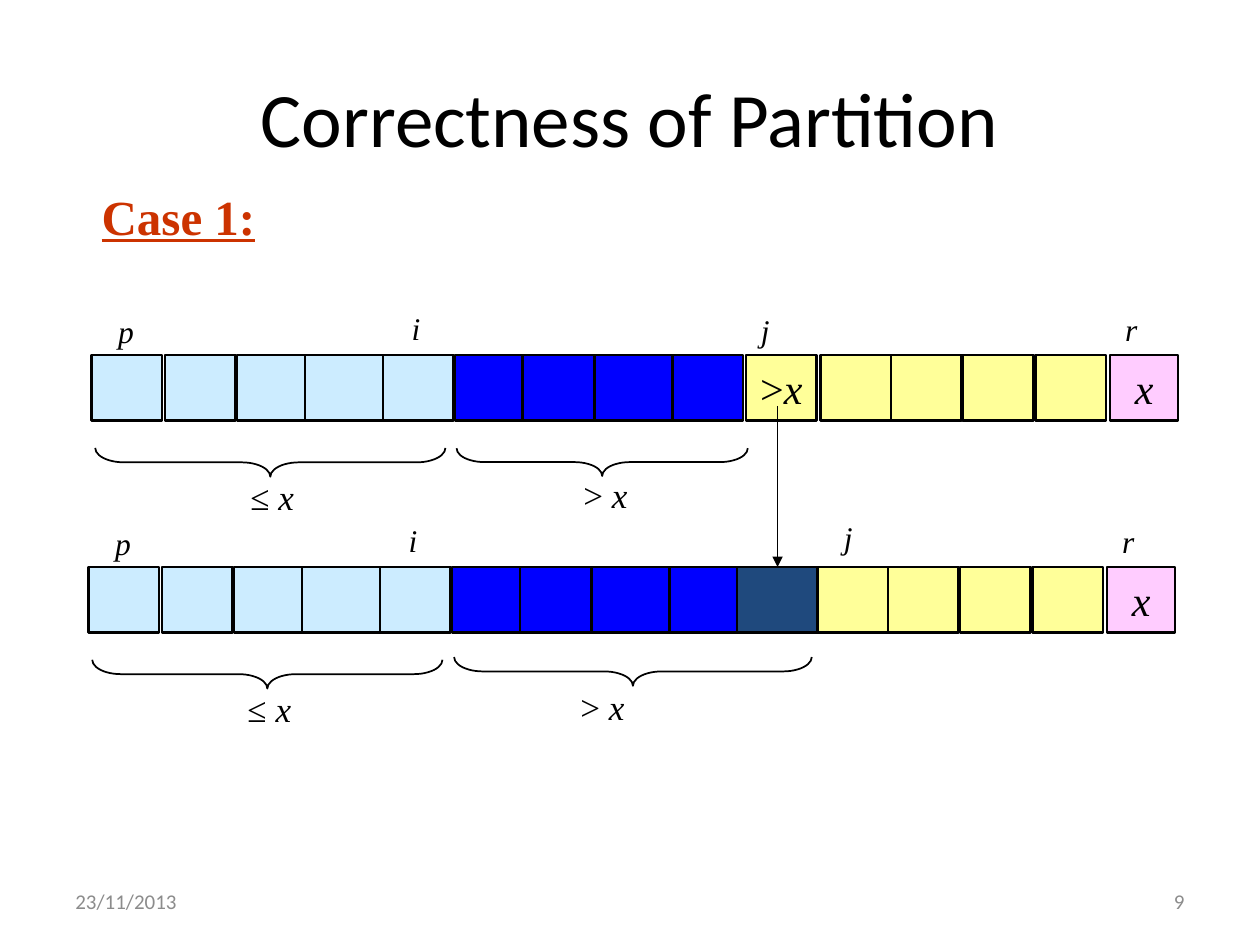
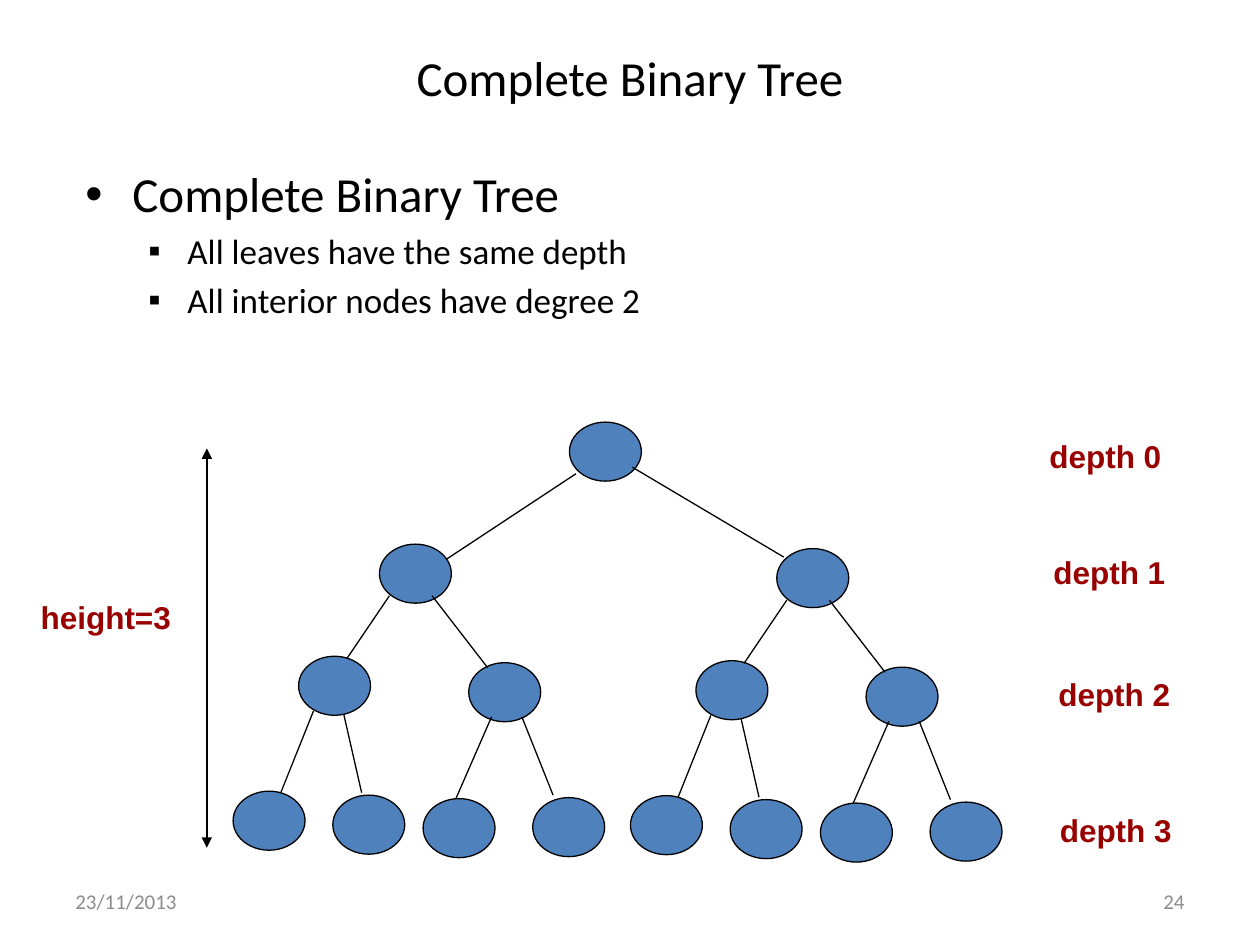
from lxml.etree import SubElement
from pptx import Presentation
from pptx.dml.color import RGBColor
from pptx.enum.shapes import MSO_CONNECTOR, MSO_SHAPE
from pptx.enum.text import MSO_ANCHOR, PP_ALIGN
from pptx.oxml.ns import qn
from pptx.util import Cm, Pt

COLORS = {
    "black": "000000",
    "footer": "8C8C8C",
    "case": "CC3300",
    "depth": "990000",
    "small": "CCECFF",
    "large": "0000FF",
    "moved": "1F497D",
    "open": "FFFF99",
    "pivot": "FFCCFF",
    "node": "4F81BD",
}
SERIF = "Times New Roman"


def write(holder, text, variable="", size=18, font="Calibri", color="black",
          bold=False, underline=False, align=PP_ALIGN.LEFT,
          anchor=MSO_ANCHOR.TOP, wrap=False, bullet=None, indent=0, hang=0,
          before=0):
    frame = holder.text_frame
    frame.word_wrap = wrap
    frame.vertical_anchor = anchor
    paragraph = frame.add_paragraph() if frame.text else frame.paragraphs[0]
    paragraph.alignment = align
    if before:
        paragraph.space_before = Pt(before)
    if bullet:
        properties = paragraph._p.get_or_add_pPr()
        properties.set("marL", str(Cm(indent)))
        properties.set("indent", str(-Cm(hang)))
        SubElement(properties, qn("a:buFont")).set("typeface", "Arial")
        SubElement(properties, qn("a:buChar")).set("char", bullet)
    for part, italic in ((text, False), (variable, True)):
        if part:
            run = paragraph.add_run()
            run.text = part
            run.font.name = font
            run.font.size = Pt(size)
            run.font.bold = bold
            run.font.italic = italic
            run.font.underline = underline
            run.font.color.rgb = RGBColor.from_string(COLORS[color])


def outline(shape, weight, fill=None, arrows=()):
    if fill:
        shape.fill.solid()
        shape.fill.fore_color.rgb = RGBColor.from_string(COLORS[fill])
    shape.line.color.rgb = RGBColor.from_string(COLORS["black"])
    shape.line.width = Pt(weight)
    properties = shape._element.spPr
    for arrow in arrows:
        SubElement(properties.find(qn("a:ln")), qn(f"a:{arrow}")).set("type", "triangle")
    SubElement(properties, qn("a:effectLst"))


deck = Presentation()
deck.slide_width = Cm(25.4)
deck.slide_height = Cm(19.05)
partition = deck.slides.add_slide(deck.slide_layouts[6])
tree = deck.slides.add_slide(deck.slide_layouts[6])

for slide, title, title_height, title_size, number in (
    (partition, "Correctness of Partition", 3.18, 44, "9"),
    (tree, "Complete Binary Tree", 1.57, 28, "24"),
):
    heading = slide.shapes.add_textbox(Cm(1.27), Cm(0.76), Cm(22.86), Cm(title_height))
    write(heading, title, size=title_size, align=PP_ALIGN.CENTER,
          anchor=MSO_ANCHOR.MIDDLE, wrap=True)
    for left, text, align in (
        (1.27, "23/11/2013", PP_ALIGN.LEFT),
        (18.21, number, PP_ALIGN.RIGHT),
    ):
        footer = slide.shapes.add_textbox(Cm(left), Cm(17.65), Cm(5.92), Cm(1.02))
        write(footer, text, size=12, color="footer", align=align,
              anchor=MSO_ANCHOR.MIDDLE, wrap=True)

case = partition.shapes.add_textbox(Cm(1.8), Cm(3.63), Cm(3.61), Cm(1.45))
write(case, "Case 1:", size=28, font=SERIF, color="case", bold=True, underline=True)

cells_before_j = [
    (1.85, 1.42, "small"), (3.33, 1.42, "small"), (4.78, 1.42, "small"),
    (6.15, 1.63, "small"), (7.72, 1.42, "small"), (9.17, 1.42, "large"),
    (10.54, 1.63, "large"), (11.99, 1.63, "large"), (13.56, 1.42, "large"),
]
cells_after_j = [
    (16.54, 1.42, "open"), (17.96, 1.42, "open"), (19.41, 1.42, "open"),
    (20.88, 1.42, "open"), (22.38, 1.37, "pivot"),
]
small_brace = (5.16, 5.79, 0.58, 7.06)
for dx, dy, j_cell, j_label, large_brace in (
    (0, 0, (15.04, 1.42, "open"), (15.09, 6.15), (11.86, 6.38, 0.56, 5.87)),
    (-0.06, 4.27, (14.92, 1.63, "moved"), (16.82, 6.04), (12.53, 5.66, 0.58, 7.21)),
):
    for left, width, role in cells_before_j + [j_cell] + cells_after_j:
        cell = partition.shapes.add_shape(
            MSO_SHAPE.RECTANGLE, Cm(left + dx), Cm(7.16 + dy), Cm(width), Cm(1.32))
        outline(cell, 1.5, fill=role)
        is_j = left == j_cell[0]
        if role == "pivot" or (is_j and role == "open"):
            write(cell, ">" if is_j else "", "x", size=24, font=SERIF,
                  align=PP_ALIGN.CENTER, anchor=MSO_ANCHOR.MIDDLE)
        if role == "moved":
            moved_cell = cell

    for left, top, width, height in (small_brace, large_brace):
        brace = partition.shapes.add_shape(
            MSO_SHAPE.LEFT_BRACE, Cm(left + dx), Cm(top + dy), Cm(width), Cm(height))
        brace.rotation = 270
        brace.adjustments[0] = 1
        brace.fill.background()
        outline(brace, 1)

    for left, top, relation, variable, size in (
        (2.13, 6.17, "", "p", 18),
        (8.05, 6.1, "", "i", 18),
        (*j_label, "", "j", 18),
        (22.43, 6.12, "", "r", 18),
        (4.8, 9.47, "≤ ", "x", 20),
        (11.51, 9.42, "> ", "x", 20),
    ):
        label = partition.shapes.add_textbox(
            Cm(left + dx), Cm(top + dy), Cm(1.4 if relation else 0.75), Cm(1.02))
        write(label, relation, variable, size=size, font=SERIF)

moved_middle = moved_cell.left + moved_cell.width // 2
move = partition.shapes.add_connector(
    MSO_CONNECTOR.STRAIGHT, moved_middle, Cm(8.18), moved_middle, moved_cell.top)
move.end_connect(moved_cell, 0)
outline(move, 1, arrows=["tailEnd"])

properties_list = tree.shapes.add_textbox(Cm(1.47), Cm(3.18), Cm(22.86), Cm(4.27))
write(properties_list, "Complete Binary Tree", size=28, wrap=True,
      bullet="•", indent=0.95, hang=0.95)
for text in ("All leaves have the same depth", "All interior nodes have degree 2"):
    write(properties_list, text, size=20, wrap=True, bullet="▪",
          indent=2.06, hang=0.79, before=4)

subtree_nodes = [
    (7.65, 10.97), (6.02, 13.23), (9.45, 13.36),
    (4.7, 15.95), (6.71, 16.03), (8.53, 16.1), (10.74, 16.08),
]
subtree_edges = [
    (8.71, 12.01, 9.83, 13.46), (7.85, 12.01, 6.99, 13.28),
    (9.91, 14.45, 9.19, 16.1), (10.52, 14.45, 11.15, 16.03),
    (6.32, 14.33, 5.66, 15.98), (6.93, 14.4, 7.29, 15.98),
]
nodes = [(11.48, 8.51)]
edges = [(11.61, 9.55, 8.99, 11.28), (12.75, 9.42, 15.8, 11.23)]
for dx, dy in ((0, 0), (8.01, 0.09)):
    nodes += [(x + dx, y + dy) for x, y in subtree_nodes]
    edges += [(x1 + dx, y1 + dy, x2 + dx, y2 + dy) for x1, y1, x2, y2 in subtree_edges]

for left, top in nodes:
    node = tree.shapes.add_shape(MSO_SHAPE.OVAL, Cm(left), Cm(top), Cm(1.45), Cm(1.19))
    outline(node, 0.75, fill="node")

height_span = (4.17, 9.04, 4.17, 17.09)
for ends in edges + [height_span]:
    edge = tree.shapes.add_connector(MSO_CONNECTOR.STRAIGHT, *map(Cm, ends))
    outline(edge, 0.75, arrows=["headEnd", "tailEnd"] if ends == height_span else ())

for left, top, width, text in (
    (20.9, 8.69, 2.77, "depth 0"),
    (20.98, 11.02, 2.77, "depth 1"),
    (21.08, 13.49, 2.77, "depth 2"),
    (21.11, 16.23, 2.77, "depth 3"),
    (0.56, 11.94, 3.15, "height=3"),
):
    measure = tree.shapes.add_textbox(Cm(left), Cm(top), Cm(width), Cm(1.02))
    write(measure, text, font="Arial", color="depth", bold=True, align=PP_ALIGN.CENTER)

deck.save("out.pptx")
